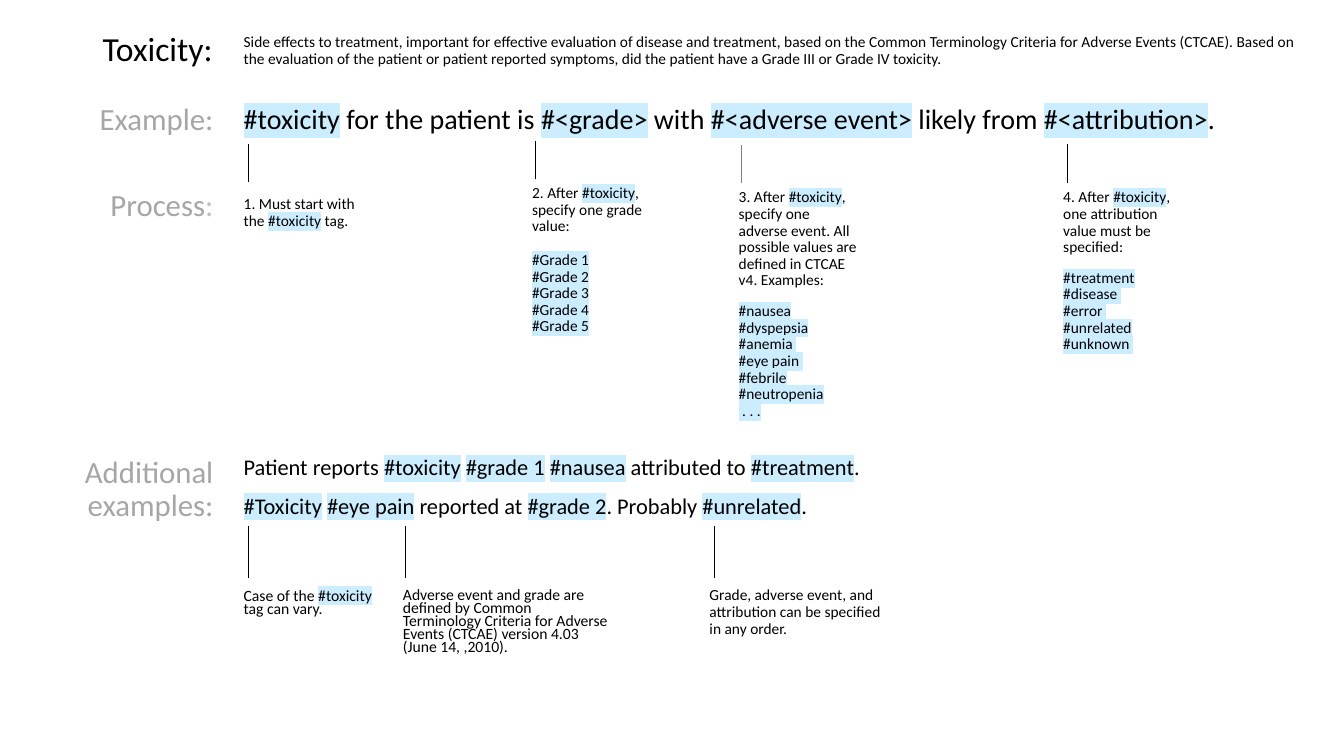
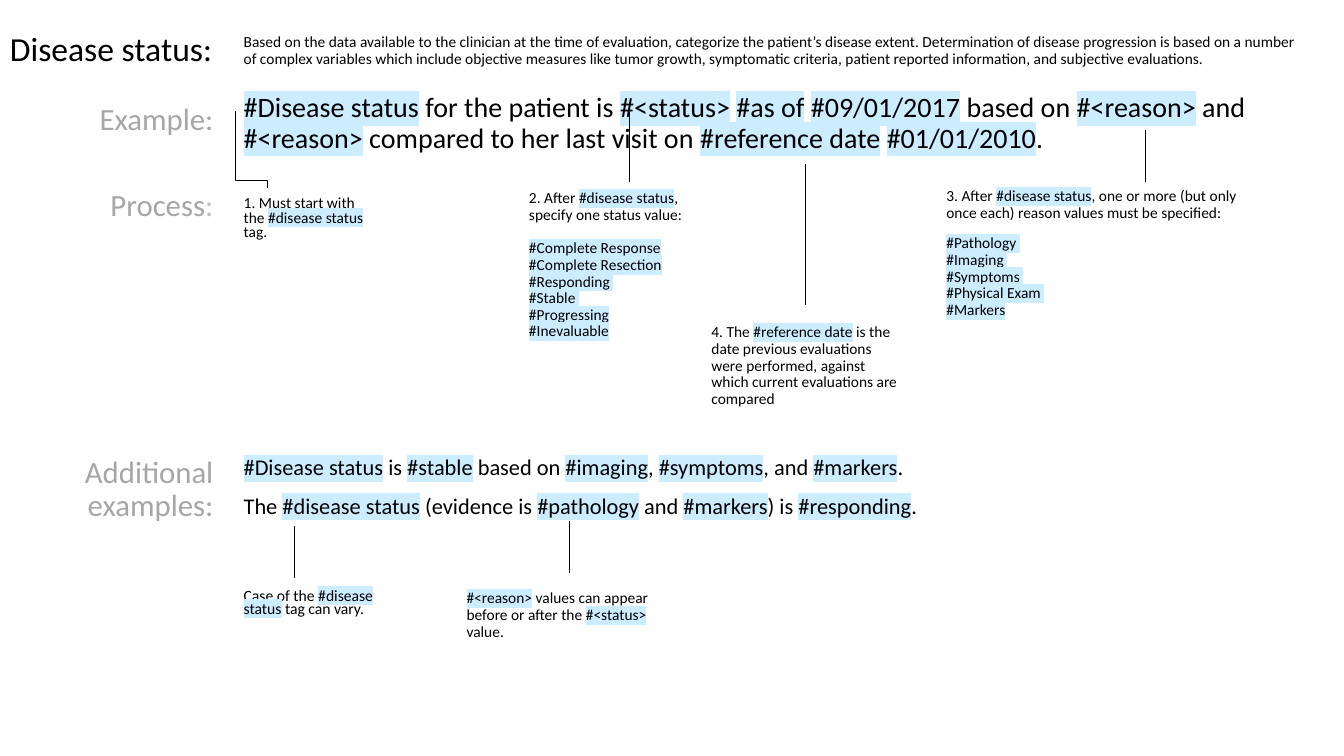
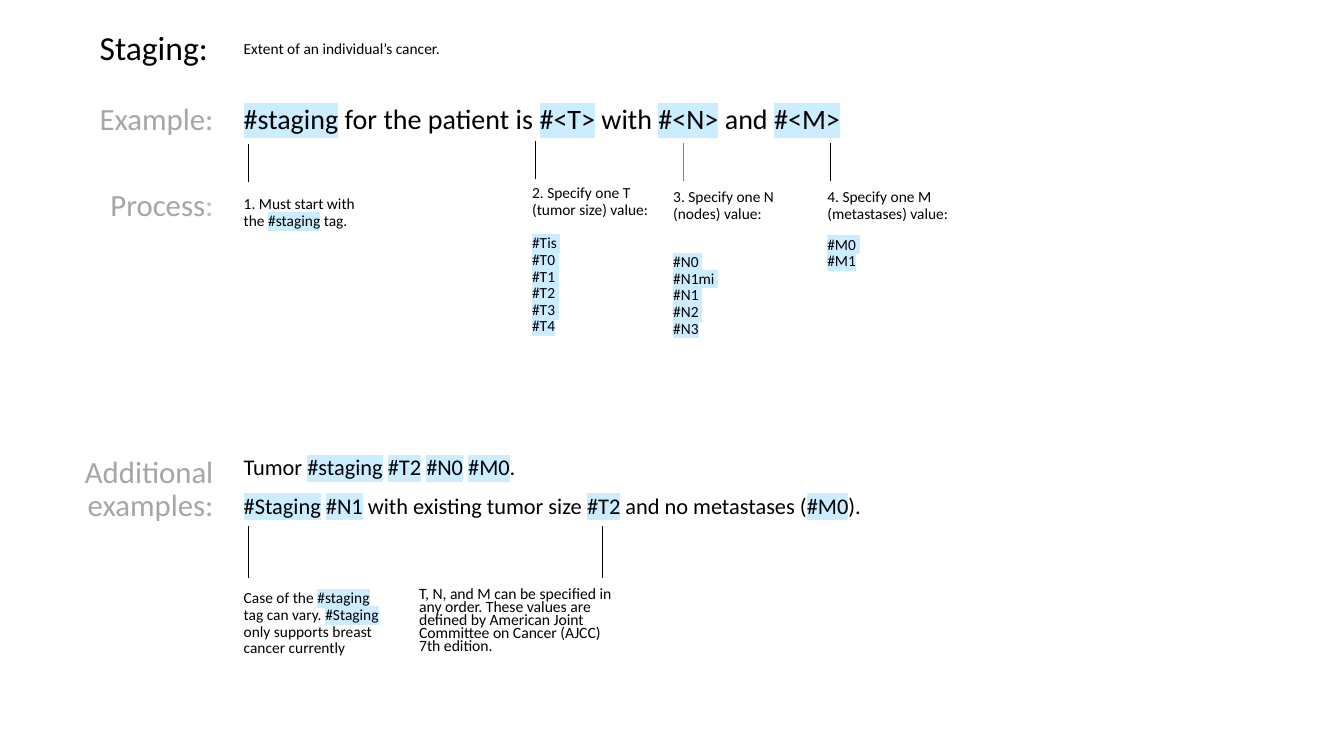
from copy import deepcopy
from dataclasses import dataclass, replace

from lxml import etree
from pptx import Presentation
from pptx.dml.color import RGBColor
from pptx.enum.shapes import MSO_CONNECTOR
from pptx.enum.text import MSO_ANCHOR, PP_ALIGN
from pptx.oxml.ns import qn
from pptx.util import Pt

STRAIGHT = MSO_CONNECTOR.STRAIGHT
ELBOW = MSO_CONNECTOR.ELBOW
TOP = MSO_ANCHOR.TOP
MIDDLE = MSO_ANCHOR.MIDDLE
LEFT = PP_ALIGN.LEFT
RIGHT = PP_ALIGN.RIGHT


@dataclass(frozen=True)
class Style:
    size: float
    color: str = "000000"
    spacing: float = 0.9
    before: float = 10
    align: PP_ALIGN = LEFT
    anchor: MSO_ANCHOR = TOP


@dataclass(frozen=True)
class Theme:
    font: str = "Calibri"
    ink: str = "000000"
    gray: str = "808080"
    pale: str = "BFBFBF"
    highlight: str = "CCECFF"
    line_width: float = 0.5
    title: Style = Style(24, anchor=MIDDLE)
    summary: Style = Style(11, anchor=MIDDLE)
    label: Style = Style(22, color="A6A6A6", align=RIGHT)
    sentence: Style = Style(20)
    sample: Style = Style(16)
    note: Style = Style(11)
    tight: Style = Style(11.2, spacing=0.7)


THEME = Theme()
LABEL_RIGHT = 159.5
BODY_LEFT = 167
SENTENCE_BOX = (BODY_LEFT, 72, 742.5, 41)
START_BOX = (BODY_LEFT, 136.8, 110, 41)
CASE_BOX = (BODY_LEFT, 418.3, 113.8, 39)
LOWER_LEADER = (375.8, 412.6)


def add_span(paragraph, text, style, color=None, highlighted=False):
    for index, line in enumerate(text.split("\n")):
        if index:
            paragraph.add_line_break()
        span = paragraph.add_run()
        span.text = line
        span.font.size = Pt(style.size)
        span.font.color.rgb = RGBColor.from_string(color or style.color)
        span.font.name = THEME.font
        properties = span.font._element
        if highlighted:
            mark = etree.Element(qn("a:highlight"))
            etree.SubElement(mark, qn("a:srgbClr")).set("val", THEME.highlight)
            properties.find(qn("a:latin")).addprevious(mark)
        if index:
            span._r.getprevious().append(deepcopy(properties))


def add_text(page, bounds, style, *texts):
    """Square brackets in a text enclose its highlighted spans."""
    box = page.shapes.add_textbox(*map(Pt, bounds))
    frame = box.text_frame
    frame.word_wrap = True
    frame.vertical_anchor = style.anchor
    for index, text in enumerate(texts):
        para = frame.add_paragraph() if index else frame.paragraphs[0]
        para.alignment = style.align
        para.line_spacing = style.spacing
        para.space_before = Pt(style.before)
        for position, part in enumerate(text.replace("]", "[").split("[")):
            if part:
                add_span(para, part, style, highlighted=position % 2 == 1)
    return box


def add_label(page, text, left, top, height):
    return add_text(page, (left, top, LABEL_RIGHT - left, height), THEME.label, text)


def add_line(page, kind, start, end, color):
    line = page.shapes.add_connector(kind, *map(Pt, (*start, *end)))
    line.line.color.rgb = RGBColor.from_string(color)
    line.line.width = Pt(THEME.line_width)
    etree.SubElement(line._element.spPr, qn("a:effectLst"))
    return line


def add_leader(page, x, top, bottom, color=THEME.ink):
    add_line(page, STRAIGHT, (x, bottom), (x, top), color)


def add_bent_leader(page, start, end, bend):
    center_x, center_y = ((a + b) / 2 for a, b in zip(start, end))
    half_width, half_height = ((b - a) / 2 for a, b in zip(start, end))
    line = add_line(
        page, ELBOW,
        (center_x + half_height, center_y - half_width),
        (center_x - half_height, center_y + half_width),
        THEME.ink,
    )
    properties = line._element.spPr
    properties.find(qn("a:xfrm")).set("rot", str(270 * 60000))
    guide = etree.SubElement(properties.find(".//" + qn("a:avLst")), qn("a:gd"))
    guide.set("name", "adj1")
    guide.set("fmla", f"val {round(bend * 100000)}")


def add_page(deck, title, title_left, summary, sentence, samples,
             sentence_box=SENTENCE_BOX, top=15.8):
    page = deck.slides.add_slide(deck.slide_layouts[6])
    add_text(page, (title_left, top, LABEL_RIGHT - title_left, 41), THEME.title, title)
    add_text(page, (BODY_LEFT, top, 768.2, 41), THEME.summary, summary)
    add_text(page, sentence_box, THEME.sentence, sentence)
    add_text(page, (BODY_LEFT, 322.6, 585.4, 77), THEME.sample, *samples)
    add_label(page, "Example:", 63.4, 70.6, 33.8)
    process = add_label(page, "Process", 69.8, 131.8, 41)
    add_span(process.text_frame.paragraphs[0], ":", THEME.label, THEME.pale)
    add_label(page, "Additional examples:", 51.1, 322.6, 61.2)
    return page


def add_toxicity(deck):
    page = add_page(
        deck, "Toxicity:", 66.2,
        "Side effects to treatment, important for effective evaluation of disease and "
        "treatment, based on the Common Terminology Criteria for Adverse Events (CTCAE). "
        "Based on the evaluation of the patient or patient reported symptoms, did the "
        "patient have a Grade III or Grade IV toxicity.",
        "[#toxicity] for the patient is [#<grade>] with [#<adverse event>] "
        "likely from [#<attribution>].",
        ("Patient reports [#toxicity] [#grade 1] [#nausea] attributed to [#treatment].",
         "[#Toxicity] [#eye pain] reported at [#grade 2]. Probably [#unrelated]."),
    )
    add_text(page, START_BOX, THEME.note, "1. Must start with the [#toxicity] tag.")
    add_text(page, (373, 128.9, 100.8, 134.6), replace(THEME.note, before=12),
             "2. After [#toxicity], specify one grade value:",
             "[#Grade 1\n#Grade 2\n#Grade 3\n#Grade 4\n#Grade 5]")
    add_text(page, (520.6, 131.8, 100.8, 144), THEME.note,
             "3. After [#toxicity], specify one adverse event. All possible values are "
             "deﬁned in CTCAE v4. Examples:",
             "[#nausea\n#dyspepsia\n#anemia \n#eye pain \n#febrile\n#neutropenia\n . . .]")
    add_text(page, (752.4, 131.8, 100.8, 151.2), THEME.note,
             "4. After [#toxicity], one attribution value must be speciﬁed:",
             "[#treatment\n#disease \n#error \n#unrelated\n#unknown ]")
    add_text(page, CASE_BOX, THEME.tight, "Case of the [#toxicity] tag can vary.")
    add_text(page, (280.8, 417.6, 161.3, 56.9), THEME.tight,
             "Adverse event and grade are deﬁned by Common Terminology Criteria for "
             "Adverse Events (CTCAE) version 4.03 (June 14, ,2010).")
    add_text(page, (499.7, 416.2, 142.6, 41), THEME.note,
             "Grade, adverse event, and attribution can be speciﬁed in any order.")
    add_leader(page, 177.1, 103, 130.3)
    add_leader(page, 382.3, 100.8, 128.2)
    add_leader(page, 529.9, 103.7, 131, THEME.gray)
    add_leader(page, 762.1, 103, 131)
    for x in (177.1, 289.4, 510.5):
        add_leader(page, x, *LOWER_LEADER)


def add_disease_status(deck):
    page = add_page(
        deck, "Disease status:", 0,
        "Based on the data available to the clinician at the time of evaluation, "
        "categorize the patient’s disease extent. Determination of disease progression is "
        "based on a number of complex variables which include objective measures like "
        "tumor growth, symptomatic criteria, patient reported information, and subjective "
        "evaluations.",
        "[#Disease status] for the patient is [#<status>] [#as of] [#09/01/2017] based on "
        "[#<reason>] and [#<reason>] compared to her last visit on [#reference date] "
        "[#01/01/2010].",
        ("[#Disease status] is [#stable] based on [#imaging], [#symptoms], and [#markers].",
         "The [#disease status] (evidence is [#pathology] and [#markers]) is [#responding]."),
        sentence_box=(BODY_LEFT, 63.4, 775.4, 49.7),
    )
    add_text(page, START_BOX, replace(THEME.note, spacing=0.8),
             "1. Must start with the [#disease status] tag.")
    add_text(page, (370.8, 132.5, 129.6, 134.6), replace(THEME.note, before=12),
             "2. After [#disease status], specify one status value:",
             "[#Complete Response\n#Complete Resection\n#Responding \n#Stable \n"
             "#Progressing\n#Inevaluable]")
    add_text(page, (668.9, 131, 229, 151.2), THEME.note,
             "3. After [#disease status], one or more (but only once each) reason values "
             "must be speciﬁed:",
             "[#Pathology \n#Imaging \n#Symptoms \n#Physical Exam \n#Markers]")
    add_text(page, (501.1, 228.2, 148.3, 79.9), THEME.note,
             "4. The [#reference date] is the date previous evaluations were performed, "
             "against which current evaluations are compared")
    add_text(page, CASE_BOX, THEME.tight, "Case of the [#disease status] tag can vary.")
    add_text(page, (326.2, 418.3, 161.3, 56.9), THEME.note,
             "[#<reason>] values can appear before or after the [#<status>] value.")
    add_bent_leader(page, (167.8, 79.2), (190.8, 134.6), 0.9)
    add_leader(page, 449.6, 79.9, 130.3)
    add_leader(page, 817.9, 92.9, 130.3)
    add_leader(page, 575.3, 117.4, 218.2)
    add_leader(page, 210.2, *LOWER_LEADER)
    add_leader(page, 406.8, 372.2, 409)


def add_staging(deck):
    page = add_page(
        deck, "Staging:", 64.1,
        "Extent of an individual’s cancer.",
        "[#staging] for the patient is [#<T>] with [#<N>] and [#<M>]",
        ("Tumor [#staging] [#T2] [#N0] [#M0].",
         "[#Staging] [#N1] with existing tumor size [#T2] and no metastases ([#M0])."),
        top=15.1,
    )
    add_text(page, START_BOX, THEME.note, "1. Must start with the [#staging] tag.")
    add_text(page, (373, 128.9, 100.8, 134.6), replace(THEME.note, before=12),
             "2. Specify one T (tumor size) value:",
             "[#Tis \n#T0 \n#T1 \n#T2 \n#T3 \n#T4]")
    add_text(page, (473.8, 131.8, 100.8, 144), replace(THEME.note, before=22.5),
             "3. Specify one N (nodes) value:",
             "[#N0 \n#N1mi \n#N1 \n#N2 \n#N3]")
    add_text(page, (583.9, 131.8, 100.8, 151.2), THEME.note,
             "4. Specify one M (metastases) value:", "[#M0 \n#M1]")
    add_text(page, (BODY_LEFT, 418.3, 113.8, 61.9), THEME.note,
             "Case of the [#staging] tag can vary. [#Staging] only supports breast cancer "
             "currently")
    add_text(page, (292.3, 416.9, 161.3, 56.9), THEME.tight,
             "T, N, and M can be speciﬁed in any order. These values are deﬁned by "
             "American Joint Committee on Cancer (AJCC) 7th edition.")
    add_leader(page, 177.1, 103, 130.3)
    add_leader(page, 382.3, 100.8, 128.2)
    add_leader(page, 488.2, 102.2, 129.6, THEME.gray)
    add_leader(page, 593.3, 102.2, 129.6)
    for x in (177.1, 430.2):
        add_leader(page, x, *LOWER_LEADER)


def main():
    deck = Presentation()
    deck.slide_width = Pt(960)
    deck.slide_height = Pt(540)
    add_toxicity(deck)
    add_disease_status(deck)
    add_staging(deck)
    deck.save("out.pptx")


if __name__ == "__main__":
    main()
